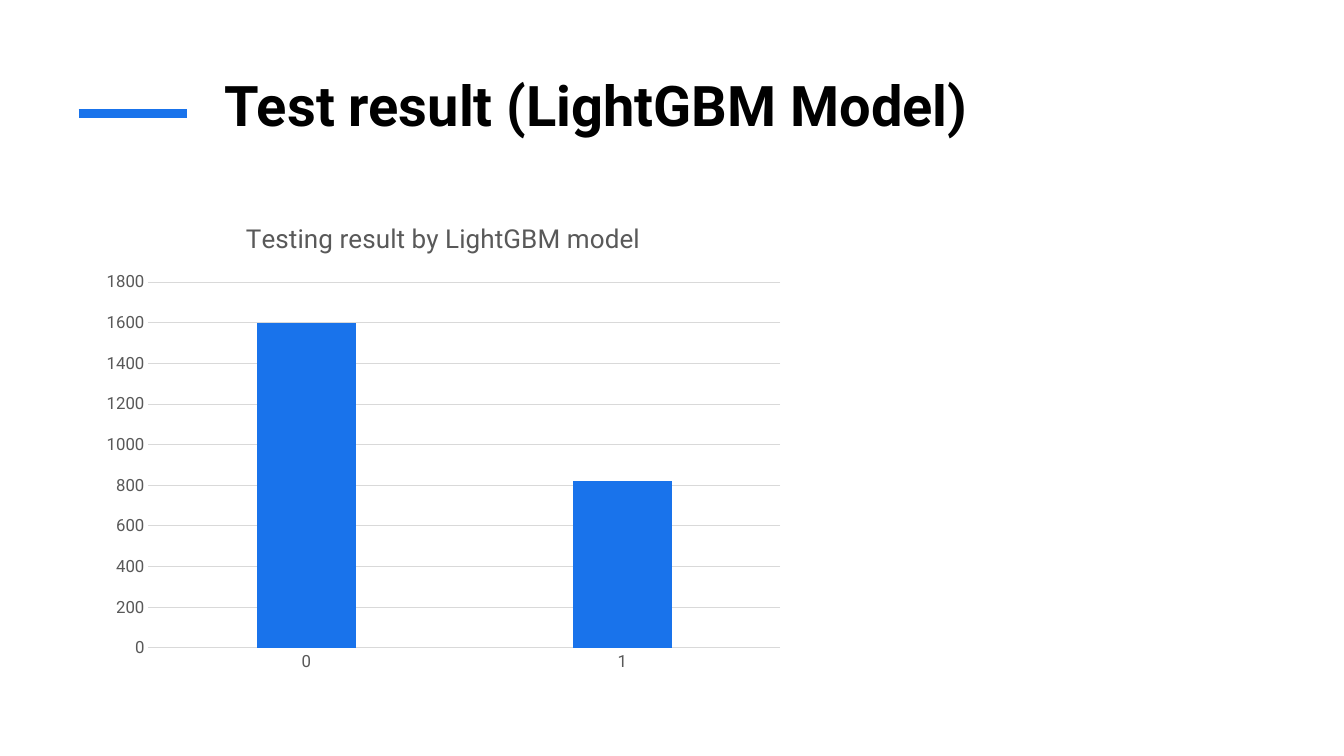
from dataclasses import dataclass

from lxml.etree import SubElement
from pptx import Presentation
from pptx.chart.chart import Chart
from pptx.chart.data import CategoryChartData
from pptx.dml.color import RGBColor
from pptx.enum.chart import XL_CHART_TYPE, XL_TICK_MARK
from pptx.enum.shapes import MSO_CONNECTOR
from pptx.enum.text import MSO_ANCHOR, MSO_AUTO_SIZE, PP_ALIGN
from pptx.oxml.ns import qn
from pptx.slide import Slide
from pptx.text.text import Font, TextFrame
from pptx.util import Pt

FONT_NAME = "Roboto"
BLUE = RGBColor(0x19, 0x73, 0xEB)
BLACK = RGBColor(0x00, 0x00, 0x00)
GRAY = RGBColor(0x59, 0x59, 0x59)
LIGHT_GRAY = RGBColor(0xD9, 0xD9, 0xD9)


@dataclass(frozen=True)
class Box:
    left: float
    top: float
    width: float
    height: float


@dataclass(frozen=True)
class Bar:
    category: str
    value: int


TITLE_BOX = Box(153.4, 46.8, 828, 104.4)
CHART_BOX = Box(66.2, 144, 501.1, 342.7)
BARS = [Bar("0", 1600), Bar("1", 820)]


def format_font(font: Font, size: float, color: RGBColor, bold: bool = False) -> None:
    font.name = FONT_NAME
    font.size = Pt(size)
    font.bold = bold
    font.color.rgb = color


def write_text(frame: TextFrame, text: str, *, size: float, color: RGBColor,
               bold: bool = False, align: PP_ALIGN = PP_ALIGN.LEFT) -> None:
    frame.text = text
    paragraph = frame.paragraphs[0]
    paragraph.alignment = align
    format_font(paragraph.runs[0].font, size, color, bold)


def add_title(slide: Slide, text: str) -> None:
    title = slide.shapes.title
    title.left, title.top = Pt(TITLE_BOX.left), Pt(TITLE_BOX.top)
    title.width, title.height = Pt(TITLE_BOX.width), Pt(TITLE_BOX.height)
    frame = title.text_frame
    frame.word_wrap = True
    frame.auto_size = MSO_AUTO_SIZE.NONE
    frame.vertical_anchor = MSO_ANCHOR.TOP
    write_text(frame, text, size=40, color=BLACK, bold=True)


def add_accent_line(slide: Slide) -> None:
    line = slide.shapes.add_connector(
        MSO_CONNECTOR.STRAIGHT, Pt(56.2), Pt(81.2), Pt(133.4), Pt(81.2))
    line.line.color.rgb = BLUE
    line.line.width = Pt(6)
    SubElement(line._element.spPr, qn("a:effectLst"))


def format_axes(chart: Chart) -> None:
    for axis in (chart.category_axis, chart.value_axis):
        axis.major_tick_mark = XL_TICK_MARK.NONE
        axis.minor_tick_mark = XL_TICK_MARK.NONE
        format_font(axis.tick_labels.font, 12, GRAY)
    value_axis = chart.value_axis
    value_axis.minimum_scale, value_axis.maximum_scale = 0, 1800
    value_axis.major_unit = 200
    value_axis.format.line.fill.background()
    value_axis.has_major_gridlines = True
    for line in (chart.category_axis.format.line, value_axis.major_gridlines.format.line):
        line.color.rgb = LIGHT_GRAY
        line.width = Pt(0.75)


def add_result_chart(slide: Slide) -> None:
    data = CategoryChartData()
    data.categories = [bar.category for bar in BARS]
    data.add_series("Series 1", [bar.value for bar in BARS])
    chart = slide.shapes.add_chart(
        XL_CHART_TYPE.COLUMN_CLUSTERED, Pt(CHART_BOX.left), Pt(CHART_BOX.top),
        Pt(CHART_BOX.width), Pt(CHART_BOX.height), data).chart
    format_font(chart.font, 10, BLACK)
    chart.has_legend = False
    chart.has_title = True
    chart.chart_title.include_in_layout = False
    write_text(chart.chart_title.text_frame, "Testing result by LightGBM model",
               size=18.6, color=GRAY, align=PP_ALIGN.CENTER)
    format_axes(chart)
    plot = chart.plots[0]
    plot.gap_width = 219
    plot.overlap = -27
    plot.vary_by_categories = False
    fill = plot.series[0].format.fill
    fill.solid()
    fill.fore_color.rgb = BLUE


def main() -> None:
    presentation = Presentation()
    presentation.slide_width, presentation.slide_height = Pt(960), Pt(540)
    slide = presentation.slides.add_slide(presentation.slide_layouts.get_by_name("Title Only"))
    add_accent_line(slide)
    add_title(slide, "Test result (LightGBM Model)")
    add_result_chart(slide)
    presentation.save("out.pptx")


if __name__ == "__main__":
    main()
